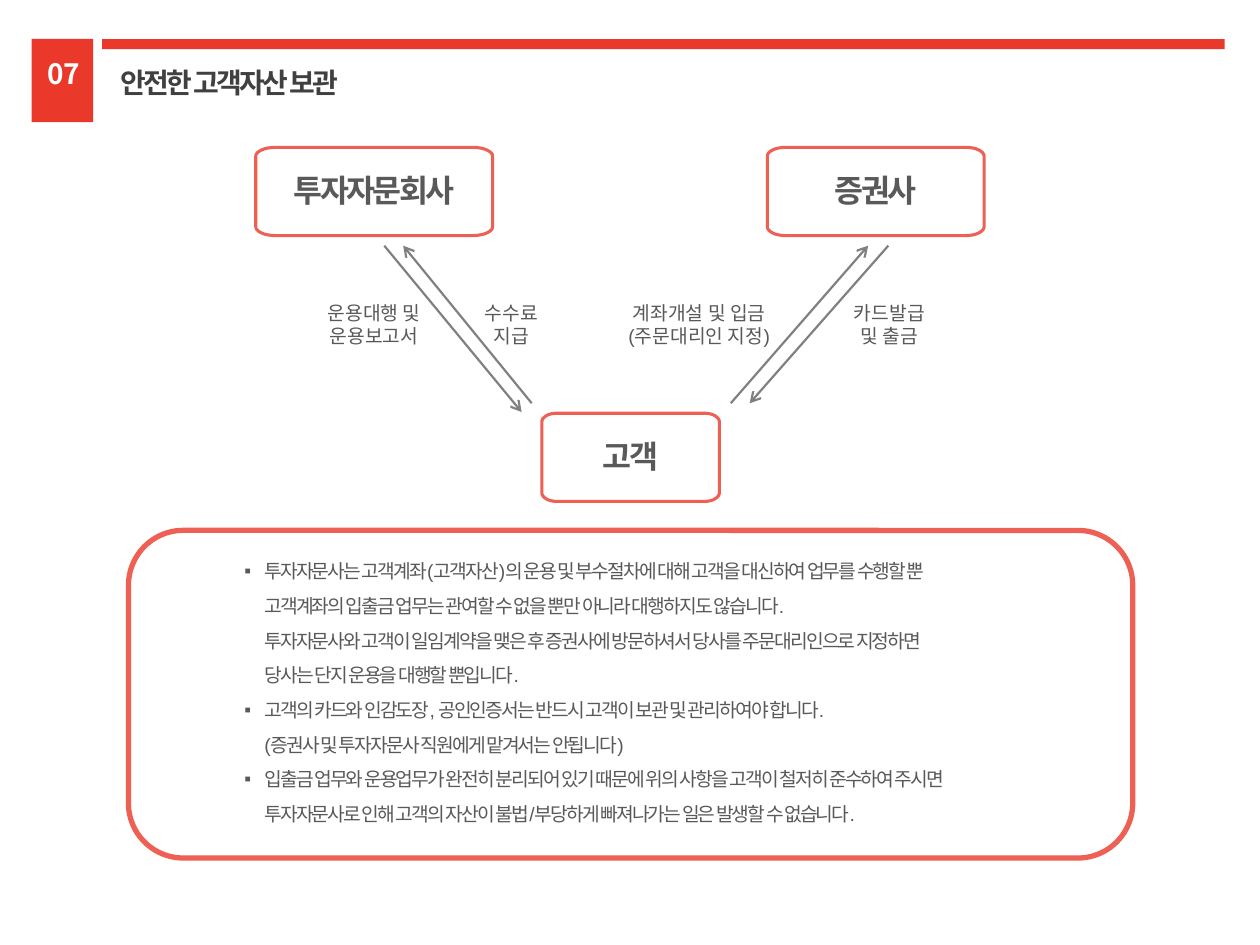
import math
from dataclasses import dataclass

from lxml import etree
from pptx import Presentation
from pptx.dml.color import RGBColor
from pptx.enum.shapes import MSO_CONNECTOR, MSO_SHAPE
from pptx.enum.text import MSO_ANCHOR, MSO_AUTO_SIZE, PP_ALIGN
from pptx.oxml.ns import qn
from pptx.util import Inches, Pt

RECTANGLE = MSO_SHAPE.RECTANGLE
ROUNDED = MSO_SHAPE.ROUNDED_RECTANGLE
STRAIGHT = MSO_CONNECTOR.STRAIGHT
TOP = MSO_ANCHOR.TOP
NO_AUTOFIT = MSO_AUTO_SIZE.NONE
LEFT, CENTER = PP_ALIGN.LEFT, PP_ALIGN.CENTER


@dataclass(frozen=True)
class Theme:
    red: RGBColor = RGBColor(0xEA, 0x38, 0x2A)
    outline: RGBColor = RGBColor(0xEE, 0x5F, 0x54)
    arrow: RGBColor = RGBColor(0x80, 0x80, 0x80)
    title: RGBColor = RGBColor(0x40, 0x40, 0x40)
    body: RGBColor = RGBColor(0x59, 0x59, 0x59)
    white: RGBColor = RGBColor(0xFF, 0xFF, 0xFF)
    latin: str = "Arial"
    korean: str = "Noto Sans CJK KR"
    heading_size: int = 16
    party_size: int = 18
    body_size: int = 11


THEME = Theme()

PARTIES = [
    ("투자자문회사", (2.03, 1.17, 1.88, 0.7)),
    ("고객", (4.3, 3.28, 1.41, 0.7)),
    ("증권사", (6.09, 1.17, 1.72, 0.7)),
]
ARROWS = [
    (3.05, 1.95, 4.14, 3.27),
    (4.22, 3.2, 3.2, 1.95),
    (7.05, 1.95, 5.95, 3.2),
    (5.8, 3.2, 6.89, 1.95),
]
FLOW_LABELS = [
    (1.72, ["운용대행 및", "운용보고서"]),
    (2.81, ["수수료", "지급"]),
    (4.3, ["계좌개설 및 입금", "(주문대리인 지정)"]),
    (5.81, ["카드발급", "및 출금"]),
]
NOTES = [
    ["투자자문사는 고객계좌(고객자산)의 운용 및 부수절차에 대해 고객을 대신하여 업무를 수행할 뿐",
     "고객계좌의 입출금 업무는 관여할 수 없을 뿐만 아니라 대행하지도 않습니다.",
     "투자자문사와 고객이 일임계약을 맺은 후 증권사에 방문하셔서 당사를 주문대리인으로 지정하면",
     "당사는 단지 운용을 대행할 뿐입니다."],
    ["고객의 카드와 인감도장, 공인인증서는 반드시 고객이 보관 및 관리하여야 합니다.",
     "(증권사 및 투자자문사 직원에게 맡겨서는 안됩니다)"],
    ["입출금 업무와 운용업무가 완전히 분리되어 있기 때문에 위의 사항을 고객이 철저히 준수하여 주시면",
     "투자자문사로 인해 고객의 자산이 불법/부당하게 빠져나가는 일은 발생할 수 없습니다."],
]


def inches(box):
    return [Inches(value) for value in box]


def write_lines(text_frame, lines, size, color, font=THEME.latin,
                bold=False, align=CENTER, spacing=0):
    text_frame.auto_size = NO_AUTOFIT
    text_frame.word_wrap = True
    text_frame.vertical_anchor = TOP
    text_frame.text = "\n".join(lines)
    for paragraph in text_frame.paragraphs:
        paragraph.alignment = align
        for run in paragraph.runs:
            run.font.size = Pt(size)
            run.font.bold = bold
            run.font.name = font
            run.font.color.rgb = color
            properties = run._r.get_or_add_rPr()
            properties.set("spc", str(round(spacing * 100)))
            etree.SubElement(properties, qn("a:ea"), typeface=THEME.korean)


def add_text(slide, box, lines, size, color, **style):
    text_box = slide.shapes.add_textbox(*inches(box))
    write_lines(text_box.text_frame, lines, size, color, **style)
    return text_box.text_frame


def style_outline(shape, width):
    shape.shadow.inherit = False
    shape.fill.background()
    shape.line.color.rgb = THEME.outline
    shape.line.width = Pt(width)


def add_red_block(slide, box):
    block = slide.shapes.add_shape(RECTANGLE, *inches(box))
    block.shadow.inherit = False
    block.fill.solid()
    block.fill.fore_color.rgb = THEME.red
    block.line.fill.background()


def add_header(slide, box):
    left, top, width, height = box
    add_red_block(slide, (left, top, 0.49, height))
    add_red_block(slide, (left + 0.56, top, width - 0.56, 0.08))
    add_text(slide, (left - 0.1, top + 0.09, 0.71, 0.37), ["07"],
             THEME.heading_size, THEME.white, font=THEME.korean, bold=True)
    title = slide.shapes.title
    title.left, title.top, title.width, title.height = inches(
        (left + 0.61, top + 0.16, 3.87, 0.37))
    write_lines(title.text_frame, ["안전한 고객자산 보관"], THEME.heading_size,
                THEME.title, font=THEME.korean, bold=True, align=LEFT, spacing=-1.5)


def add_party(slide, name, box):
    left, top, width, height = box
    radius_x, radius_y = width / 12, height / 10
    points = []
    for corner, (side_x, side_y) in enumerate([(1, 1), (-1, 1), (-1, -1), (1, -1)]):
        center_x = left + width / 2 + side_x * (width / 2 - radius_x)
        center_y = top + height / 2 + side_y * (height / 2 - radius_y)
        for step in range(9):
            angle = math.radians(corner * 90 + step * 11.25)
            points.append((Inches(center_x + radius_x * math.cos(angle)),
                           Inches(center_y + radius_y * math.sin(angle))))
    builder = slide.shapes.build_freeform(*points[0])
    builder.add_line_segments(points[1:], close=True)
    style_outline(builder.convert_to_shape(), 1.75)
    add_text(slide, (left + width / 2 - 1.25, top + 0.14, 2.5, 0.4), [name],
             THEME.party_size, THEME.body, bold=True, spacing=-1.5)


def add_arrow(slide, ends):
    arrow = slide.shapes.add_connector(STRAIGHT, *inches(ends))
    arrow.line.color.rgb = THEME.arrow
    arrow.line.width = Pt(1.25)
    etree.SubElement(arrow.line._get_or_add_ln(), qn("a:tailEnd"), type="arrow")
    etree.SubElement(arrow._element.spPr, qn("a:effectLst"))


def add_diagram(slide):
    for name, box in PARTIES:
        add_party(slide, name, box)
    for ends in ARROWS:
        add_arrow(slide, ends)
    for left, lines in FLOW_LABELS:
        add_text(slide, (left, 2.34, 2.5, 0.47), lines, THEME.body_size, THEME.body)


def add_notes_panel(slide, box):
    left, top, width, height = box
    panel = slide.shapes.add_shape(ROUNDED, *inches(box))
    panel.adjustments[0] = 0.167
    style_outline(panel, 3)
    lines = [line for note in NOTES for line in note]
    openers = {note[0] for note in NOTES}
    text_frame = add_text(slide, (left + 0.82, top + 0.09, 6.55, 2.32), lines,
                          THEME.body_size, THEME.body, align=LEFT, spacing=-1.1)
    indent = Inches(0.16)
    for paragraph, line in zip(text_frame.paragraphs, lines):
        paragraph.line_spacing = 1.5
        properties = paragraph._p.get_or_add_pPr()
        properties.set("marL", str(indent))
        if line in openers:
            properties.set("indent", str(-indent))
            etree.SubElement(properties, qn("a:buFont"), typeface=THEME.latin)
            etree.SubElement(properties, qn("a:buChar"), char="▪")


def main():
    presentation = Presentation()
    presentation.slide_width, presentation.slide_height = Inches(10), Inches(7.5)
    slide = presentation.slides.add_slide(presentation.slide_layouts[5])
    add_header(slide, (0.25, 0.31, 9.47, 0.66))
    add_notes_panel(slide, (1.02, 4.21, 7.97, 2.6))
    add_diagram(slide)
    presentation.save("out.pptx")


if __name__ == "__main__":
    main()
